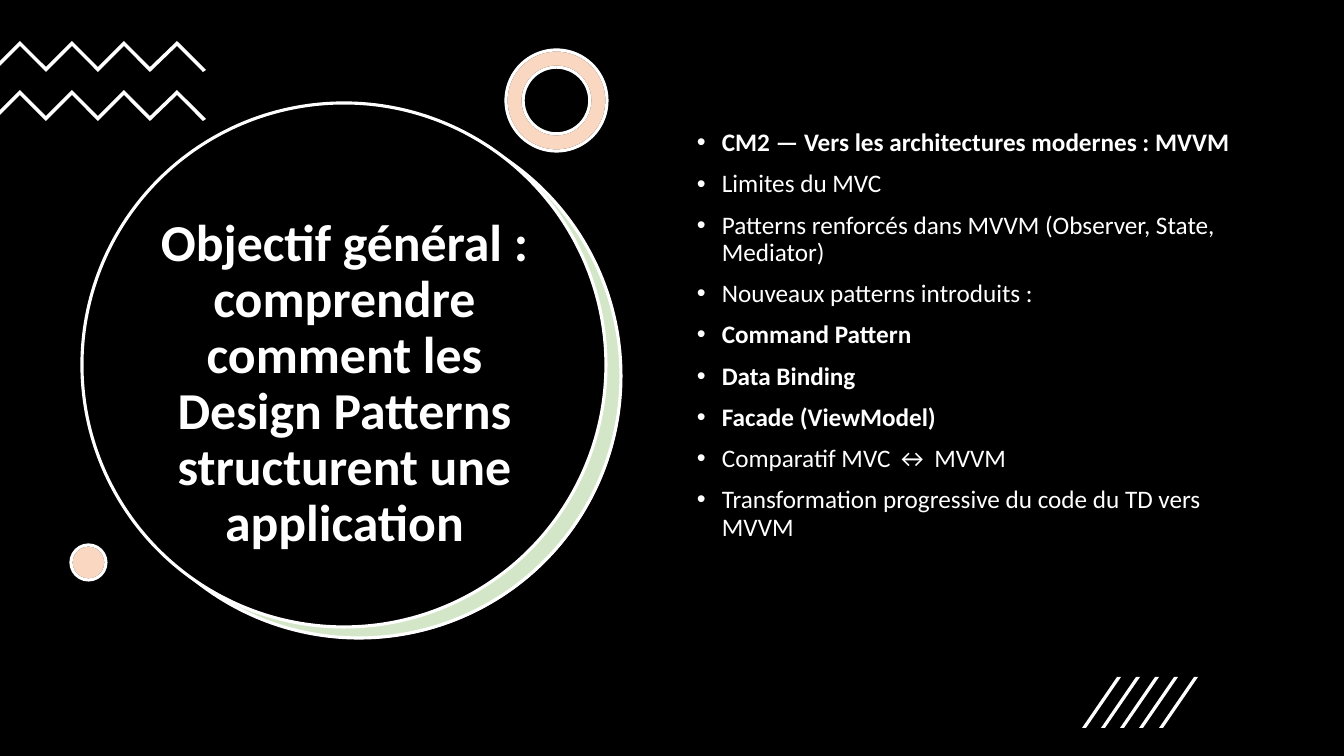
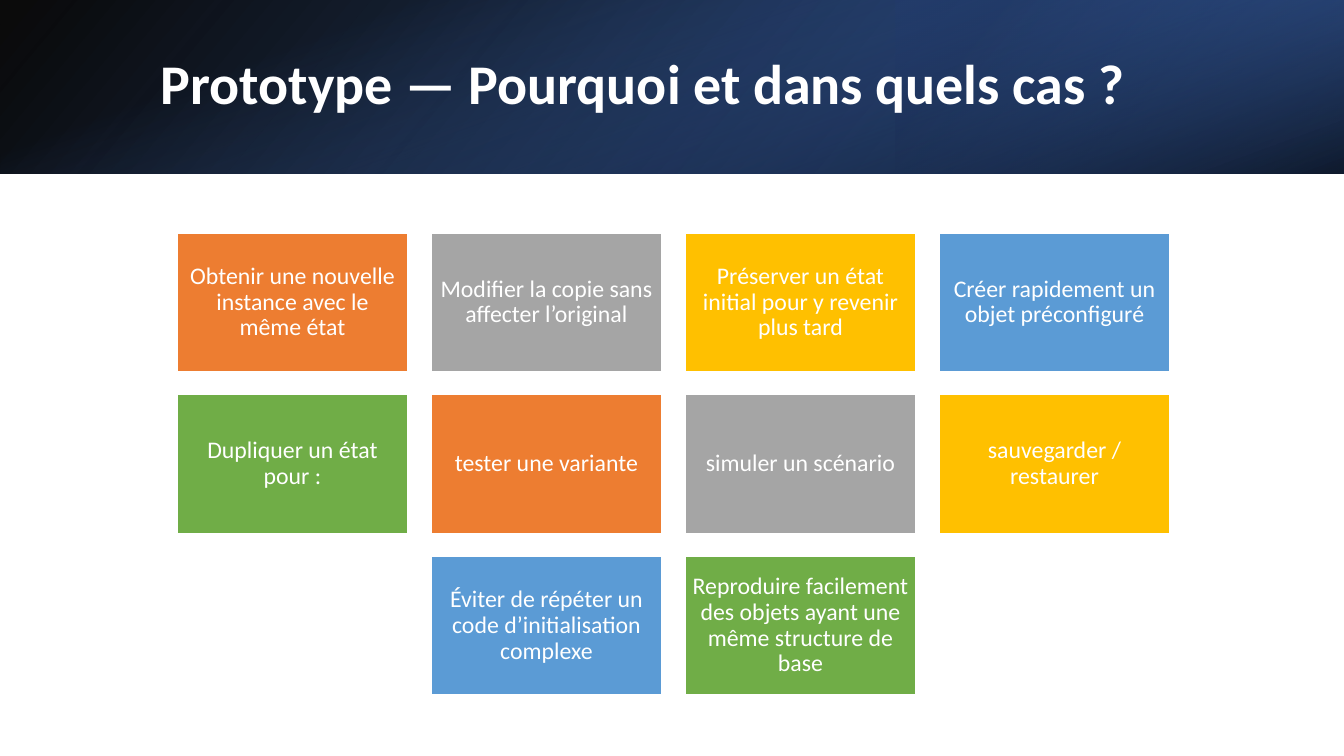
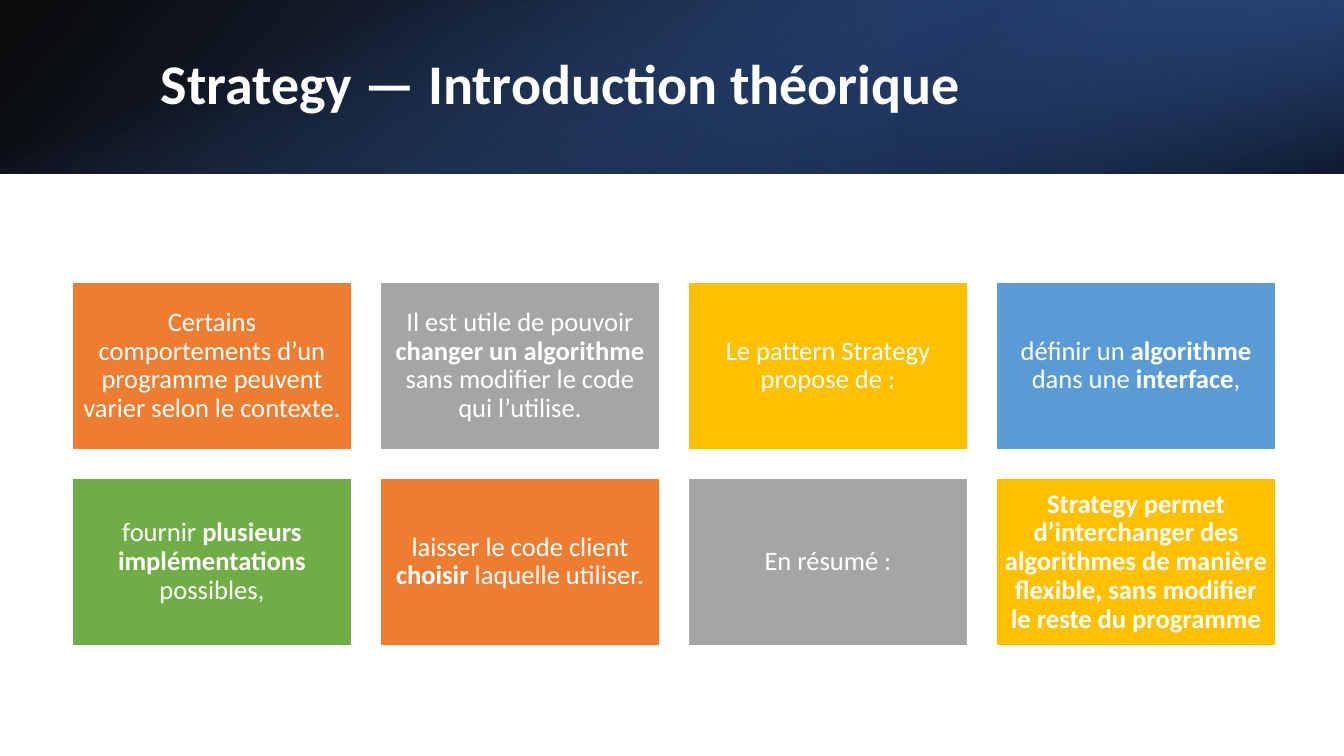
from dataclasses import dataclass

from lxml import etree
from pptx import Presentation
from pptx.dml.color import RGBColor
from pptx.enum.shapes import MSO_SHAPE
from pptx.enum.text import MSO_ANCHOR, PP_ALIGN
from pptx.oxml.ns import qn
from pptx.util import Pt

RECT, OVAL, DONUT = MSO_SHAPE.RECTANGLE, MSO_SHAPE.OVAL, MSO_SHAPE.DONUT
TOP, MID = MSO_ANCHOR.TOP, MSO_ANCHOR.MIDDLE
LEFT, CENTER = PP_ALIGN.LEFT, PP_ALIGN.CENTER

WIDE, HIGH = 1344, 756
UNIT = 12192000 / WIDE


@dataclass(frozen=True)
class Theme:
    font: str = "Calibri"
    white: str = "FFFFFF"
    black: str = "000000"
    peach: str = "ED7D31"
    green: str = "70AD47"
    navy: str = "203864"
    deep: str = "2F5597"
    blue: str = "4472C4"
    tiles: tuple = ("ED7D31", "A5A5A5", "FFC000", "5B9BD5", "70AD47")
    head: int = 40
    goal: int = 37
    body: int = 18
    edge: float = 2.25


T = Theme()


def px(n):
    return round(n * UNIT)


def rgb(code):
    return RGBColor.from_string(code)


def sub(node, tag, **attrs):
    return etree.SubElement(node, qn(tag), {k: str(v) for k, v in attrs.items()})


# Shapes and text

def paint(shp, fill, line=None, wide=T.edge, alpha=None):
    shp.shadow.inherit = False
    shp.fill.solid()
    shp.fill.fore_color.rgb = rgb(fill)
    if alpha is not None:
        color = shp.fill._xPr.find(f"{qn('a:solidFill')}/{qn('a:srgbClr')}")
        sub(color, "a:alpha", val=alpha * 1000)
    if line:
        shp.line.color.rgb = rgb(line)
        shp.line.width = Pt(wide)
    else:
        shp.line.fill.background()
    return shp


def shape(page, kind, box, fill, line=None, wide=T.edge, alpha=None):
    shp = page.shapes.add_shape(kind, *map(px, box))
    return paint(shp, fill, line, wide, alpha)


def outline(page, dots, fill):
    pen = page.shapes.build_freeform(*dots[0], scale=UNIT)
    pen.add_line_segments(dots[1:])
    return paint(pen.convert_to_shape(), fill)


def write(shp, lines, size, align=LEFT, anchor=MID, pad=None, list_in=0):
    """Asterisks switch bold on and off."""
    frame = shp.text_frame
    frame.word_wrap = True
    frame.vertical_anchor = anchor
    if pad is not None:
        frame.margin_left = frame.margin_right = px(pad)
        frame.margin_top = frame.margin_bottom = px(pad)
    for i, line in enumerate(lines):
        para = frame.add_paragraph() if i else frame.paragraphs[0]
        para.alignment = align
        para.line_spacing = 0.9
        if i:
            para.space_before = Pt(10)
        if list_in:
            props = para._p.get_or_add_pPr()
            props.set("marL", str(px(list_in)))
            props.set("indent", str(-px(list_in)))
            sub(props, "a:buFont", typeface="Arial")
            sub(props, "a:buChar", char="•")
        for j, part in enumerate(line.split("*")):
            if part:
                run = para.add_run()
                run.text = part
                run.font.name = T.font
                run.font.size = Pt(size)
                run.font.bold = j % 2 == 1
                run.font.color.rgb = rgb(T.white)


def text(page, box, lines, size, **opts):
    write(page.shapes.add_textbox(*map(px, box)), lines, size, **opts)


def fade(page, box, stops, angle, turn=0, flip=False):
    """Stops are (position, colour, opacity), all in percent."""
    shp = shape(page, RECT, box, T.black)
    shp.rotation = turn
    props = shp._element.spPr
    if flip:
        props.xfrm.set("flipH", "1")
    grad = etree.Element(qn("a:gradFill"), rotWithShape="1")
    marks = sub(grad, "a:gsLst")
    for pos, code, alpha in stops:
        color = sub(sub(marks, "a:gs", pos=pos * 1000), "a:srgbClr", val=code)
        sub(color, "a:alpha", val=alpha * 1000)
    sub(grad, "a:lin", ang=angle * 60000, scaled=0)
    props.replace(props.find(qn("a:solidFill")), grad)


# Ornaments of the goal slide

def zigzag(page, x, y):
    peaks = [(x + 20 + 157 * i // 6, y + 26 * (i % 2)) for i in range(7)]
    under = [(a, b + 5) for a, b in reversed(peaks)]
    ends = [(x + 206, y + 29), (x + 203, y + 31)]
    outline(page, peaks + ends + under + [(x, y + 25), (x, y + 20)], T.white)


def hatch(page, x, y, high=51):
    for i in range(5):
        a = x + 77 * i // 4
        dots = [(a + 4, y + high), (a, y + high), (a + 35, y), (a + 39, y)]
        outline(page, dots, T.white)


def tinted(page, kind, box):
    base = shape(page, kind, box, T.white, T.black)
    tint = shape(page, kind, box, T.peach, T.white, alpha=30)
    if kind == DONUT:
        base.adjustments[0] = tint.adjustments[0] = 0.17


def disc(page, box, title):
    x, y, w, h = box
    shape(page, OVAL, (x + 16, y + 12, w, h), T.white)
    shape(page, OVAL, (x + 15, y + 11, w, h), T.green, T.white, alpha=30)
    shape(page, OVAL, box, T.black, T.white)
    text(page, (x + 40, y + 104, w - 79, h - 169), [title], T.goal, align=CENTER)


# Kinds of slide

def goal(page, title, points):
    shape(page, RECT, (0, 0, WIDE, HIGH), T.black)
    disc(page, (82, 103, 524, 524), title)
    for y in (41, 90):
        zigzag(page, 0, y)
    tinted(page, DONUT, (506, 50, 101, 101))
    tinted(page, OVAL, (71, 545, 35, 35))
    text(page, (687, 125, 576, 480), points, T.body, anchor=TOP, list_in=25)
    hatch(page, 1082, 677)


def banner(page, box, title):
    x, y, w, h = box
    fade(page, box, [(0, T.black, 96), (100, T.deep, 100)], 140, flip=True)
    third = w // 3
    fade(page, (x + w - third, y, third, h),
         [(19, T.navy, 68), (100, T.blue, 79)], 320, turn=180, flip=True)
    shift = (w - h) / 2
    fade(page, (x + shift, y - shift, h, w),
         [(23, T.blue, 0), (99, T.black, 74)], 340, turn=90)
    text(page, (x + 151, y + 38, 1107, 97), [title], T.head)


def grid(page, box, items, size, cols=4):
    """Gaps are a tenth of a tile; rows and a short last row are centred."""
    x, y, w, h = box
    wide = w / (cols + (cols - 1) / 10)
    high, gap = wide * 0.6, wide / 10
    rows = -(-len(items) // cols)
    top = y + (h - rows * high - (rows - 1) * gap) / 2
    for i, item in enumerate(items):
        row, col = divmod(i, cols)
        count = min(cols, len(items) - row * cols)
        col += (cols - count) / 2
        spot = (x + col * (wide + gap), top + row * (high + gap), wide, high)
        tile = shape(page, RECT, spot, T.tiles[i % len(T.tiles)], T.white, 1)
        write(tile, [item], size, align=CENTER, pad=round(wide * 0.03))


def board(page, title, box, items, size):
    banner(page, (0, 0, WIDE, 174), title)
    grid(page, box, items, size)


POINTS = [
    "*CM2 — Vers les architectures modernes : MVVM*",
    "Limites du MVC",
    "Patterns renforcés dans MVVM (Observer, State, Mediator)",
    "Nouveaux patterns introduits :",
    "*Command Pattern*",
    "*Data Binding*",
    "*Facade (ViewModel)*",
    "Comparatif MVC ↔ MVVM",
    "Transformation progressive du code du TD vers MVVM",
]
CASES = [
    "Obtenir une nouvelle instance avec le même état",
    "Modifier la copie sans affecter l’original",
    "Préserver un état initial pour y revenir plus tard",
    "Créer rapidement un objet préconfiguré",
    "Dupliquer un état pour :",
    "tester une variante",
    "simuler un scénario",
    "sauvegarder / restaurer",
    "Éviter de répéter un code d’initialisation complexe",
    "Reproduire facilement des objets ayant une même structure de base",
]
IDEAS = [
    "Certains comportements d’un programme peuvent varier selon le contexte.",
    "Il est utile de pouvoir *changer un algorithme* sans modifier le code qui l’utilise.",
    "Le pattern Strategy propose de :",
    "définir un *algorithme* dans une *interface*,",
    "fournir *plusieurs implémentations* possibles,",
    "laisser le code client *choisir* laquelle utiliser.",
    "En résumé :",
    "*Strategy permet d’interchanger des algorithmes de manière flexible, "
    "sans modifier le reste du programme*",
]


def main():
    deck = Presentation()
    deck.slide_width, deck.slide_height = px(WIDE), px(HIGH)
    blank = deck.slide_layouts[6]

    def page():
        return deck.slides.add_slide(blank)

    goal(page(), "*Objectif général : comprendre comment les Design Patterns "
         "structurent une application*", POINTS)
    board(page(), "*Prototype — Pourquoi et dans quels cas ?*",
          (177, 233, 993, 462), CASES, 17)
    board(page(), "*Strategy — Introduction théorique*",
          (72, 233, 1204, 462), IDEAS, 19)
    deck.save("out.pptx")


if __name__ == "__main__":
    main()
